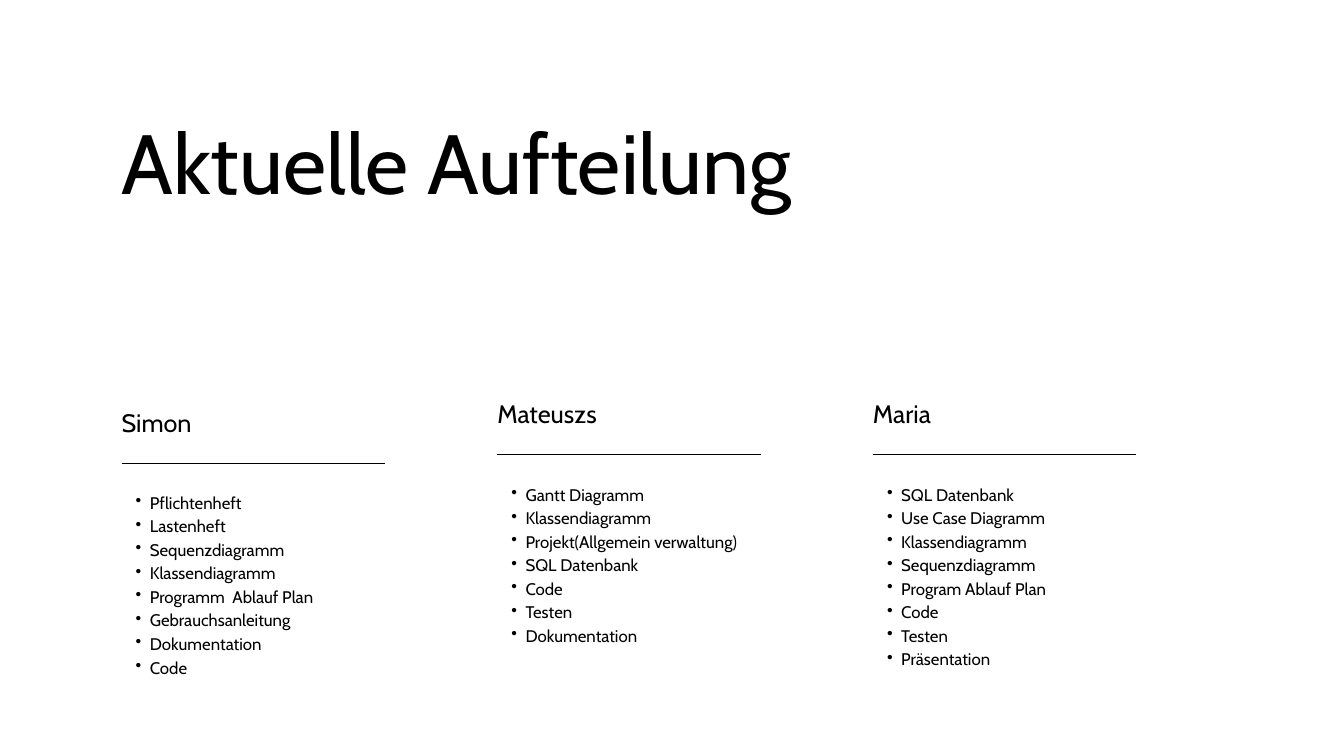
"""Build the slide that shows how the project work is shared out."""
from dataclasses import dataclass

from pptx import Presentation
from pptx.dml.color import RGBColor
from pptx.enum.shapes import MSO_CONNECTOR
from pptx.enum.text import MSO_AUTO_SIZE
from pptx.oxml.ns import qn
from pptx.slide import Slide
from pptx.text.text import _Paragraph as Para
from pptx.util import Inches, Pt

LINE = MSO_CONNECTOR.STRAIGHT
NO_FIT = MSO_AUTO_SIZE.NONE


@dataclass(frozen=True)
class Style:
    size: float
    pitch: float


@dataclass(frozen=True)
class Theme:
    font: str = "Cabin"
    ink: RGBColor = RGBColor(0, 0, 0)
    paper: RGBColor = RGBColor(255, 255, 255)
    title: Style = Style(90, 99)
    name: Style = Style(27, 37.8)
    task: Style = Style(18, 25.2)
    rule: float = 1


@dataclass(frozen=True)
class Member:
    name: str
    top: float
    tasks: tuple[str, ...]


THEME = Theme()
LEFT, STEP, WIDTH = 1.81, 5.59, 3.92
TEAM = (
    Member("Simon", 5.98, (
        "Pflichtenheft", "Lastenheft", "Sequenzdiagramm", "Klassendiagramm",
        "Programm  Ablauf Plan", "Gebrauchsanleitung", "Dokumentation", "Code",
    )),
    Member("Mateuszs", 5.86, (
        "Gantt Diagramm", "Klassendiagramm", "Projekt(Allgemein verwaltung)",
        "SQL Datenbank", "Code", "Testen", "Dokumentation",
    )),
    Member("Maria", 5.86, (
        "SQL Datenbank", "Use Case Diagramm", "Klassendiagramm",
        "Sequenzdiagramm", "Program Ablauf Plan", "Code", "Testen",
        "Präsentation",
    )),
)


def add_text(slide: Slide, left: float, top: float, width: float,
             height: float, lines: tuple[str, ...], style: Style) -> list[Para]:
    """Add a text box without margins and return its paragraphs."""
    box = slide.shapes.add_textbox(
        Inches(left), Inches(top), Inches(width), Inches(height))
    frame = box.text_frame
    frame.word_wrap = True
    frame.auto_size = NO_FIT
    frame.margin_left = frame.margin_right = Inches(0)
    frame.margin_top = frame.margin_bottom = Inches(0)
    frame.text = "\n".join(lines)
    for para in frame.paragraphs:
        para.line_spacing = Pt(style.pitch)
        para.font.name = THEME.font
        para.font.size = Pt(style.size)
        para.font.color.rgb = THEME.ink
    return list(frame.paragraphs)


def add_bullet(para: Para) -> None:
    """Give a paragraph a hanging bullet."""
    para.level = 1
    props = para._p.get_or_add_pPr()
    props.set("marL", str(Inches(0.42)))
    props.set("indent", str(Inches(-0.21)))
    mark = props.makeelement(qn("a:buChar"), {"char": "•"})
    props.insert_element_before(mark, "a:tabLst", "a:defRPr", "a:extLst")


def add_rule(slide: Slide, left: float, top: float, width: float) -> None:
    """Draw a thin level line."""
    rule = slide.shapes.add_connector(
        LINE, Inches(left), Inches(top), Inches(left + width), Inches(top))
    rule.line.color.rgb = THEME.ink
    rule.line.width = Pt(THEME.rule)
    props = rule._element.spPr
    props.append(props.makeelement(qn("a:effectLst"), {}))


def add_member(slide: Slide, left: float, member: Member) -> None:
    """Draw one column with name, rule and tasks."""
    top = member.top
    add_text(slide, left, top, WIDTH, 0.49, (member.name,), THEME.name)
    add_rule(slide, left, top + 0.91, WIDTH)
    tasks = add_text(slide, left, top + 1.3, WIDTH, 2.78, member.tasks,
                     THEME.task)
    for para in tasks:
        add_bullet(para)


def main() -> None:
    """Build and save the deck."""
    deck = Presentation()
    deck.slide_width, deck.slide_height = Inches(20), Inches(11.25)
    slide = deck.slides.add_slide(deck.slide_layouts[6])
    fill = slide.background.fill
    fill.solid()
    fill.fore_color.rgb = THEME.paper
    add_text(slide, LEFT, 1.77, 16.38, 1.41, ("Aktuelle Aufteilung",),
             THEME.title)
    for i, member in enumerate(TEAM):
        add_member(slide, LEFT + i * STEP, member)
    deck.save("out.pptx")


if __name__ == "__main__":
    main()
